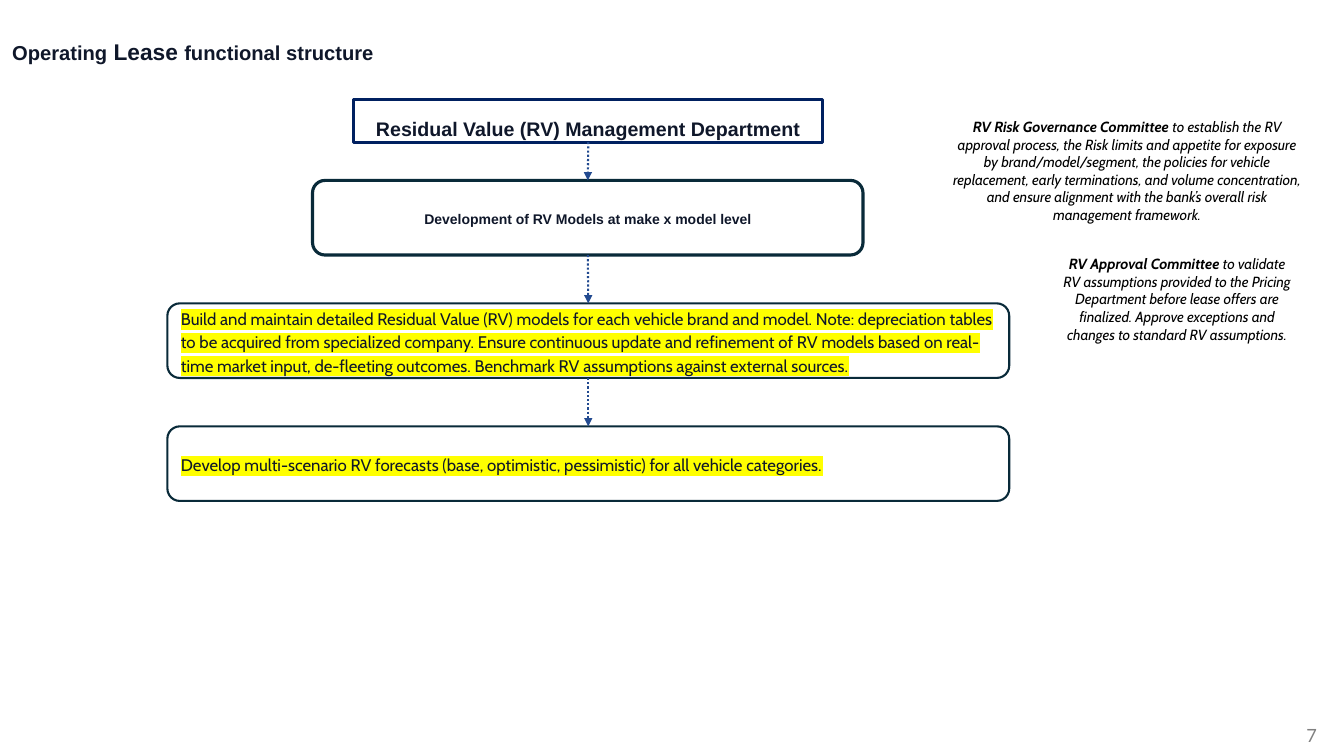
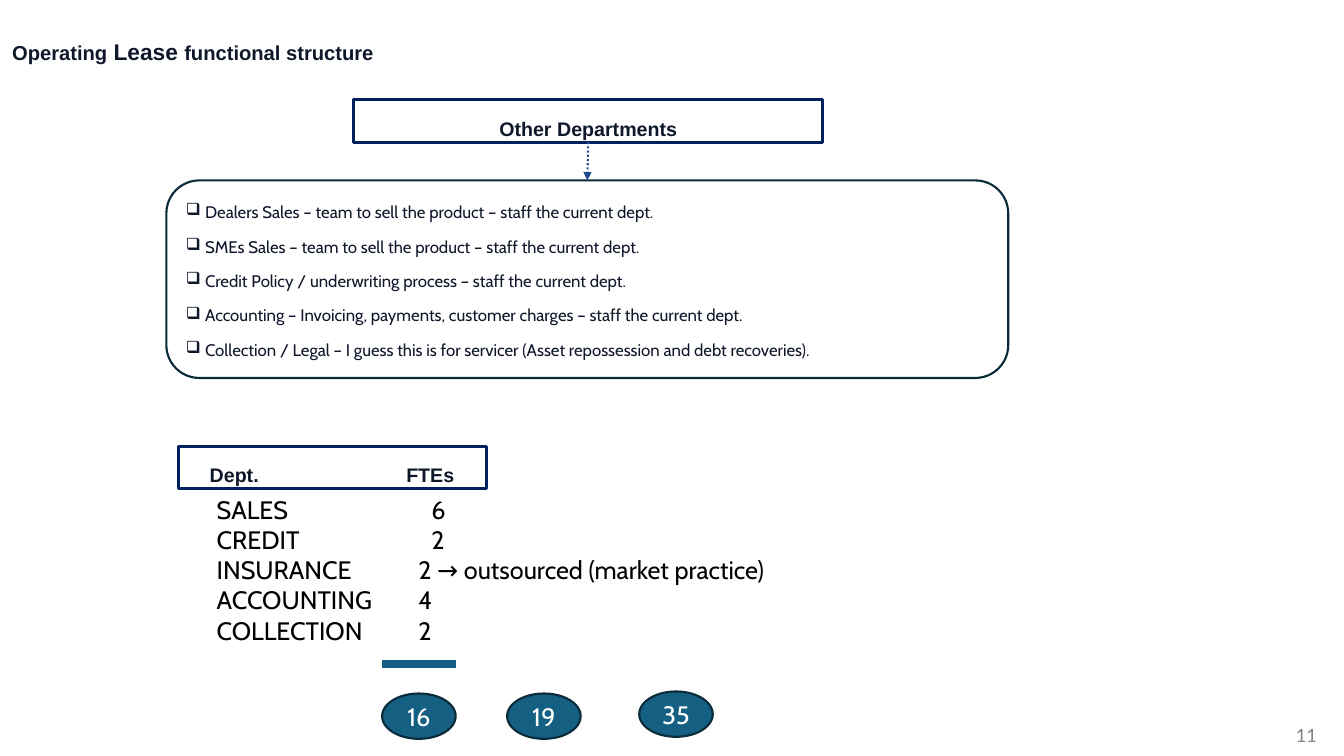
from pptx import Presentation
from pptx.dml.color import RGBColor
from pptx.enum.dml import MSO_LINE
from pptx.enum.shapes import MSO_CONNECTOR, MSO_SHAPE
from pptx.enum.text import MSO_ANCHOR, MSO_AUTO_SIZE, PP_ALIGN
from pptx.oxml.ns import qn
from pptx.util import Inches, Pt
from lxml import etree

# Shared look
RECT, ROUNDED = MSO_SHAPE.RECTANGLE, MSO_SHAPE.ROUNDED_RECTANGLE
CIRCLE = MSO_SHAPE.FLOWCHART_CONNECTOR
STRAIGHT, DOTTED = MSO_CONNECTOR.STRAIGHT, MSO_LINE.ROUND_DOT
LEFT, CENTER, RIGHT = PP_ALIGN.LEFT, PP_ALIGN.CENTER, PP_ALIGN.RIGHT
TOP, MIDDLE = MSO_ANCHOR.TOP, MSO_ANCHOR.MIDDLE
FIT_SHAPE, NO_FIT = MSO_AUTO_SIZE.SHAPE_TO_FIT_TEXT, MSO_AUTO_SIZE.NONE
HEADING, BODY, NUMBER = "Arial", "Cabin", "Lato"
INK, BLACK, WHITE, GREY = "0F172A", "000000", "FFFFFF", "808080"
NAVY, OUTLINE, ARROW, TEAL = "002060", "092A39", "224A90", "156082"
YELLOW = "FFFF00"
TITLE_ONLY = 5
BOTTOM_SIDE, TOP_SIDE = 2, 0
HEADER_BOX = (3.51, 0.99, 4.65, 0.42)
TITLE_RUNS = (("Operating", 14.4), (" Lease ", 16.2),
              ("functional structure", 14.4))


def rgb(code):
    return RGBColor.from_string(code)


def inches(*lengths):
    return [Inches(length) for length in lengths]


def style_run(run, face, size, color, bold=False, italic=False):
    font = run.font
    font.name, font.size = face, Pt(size)
    font.bold, font.italic = bold, italic
    font.color.rgb = rgb(color)


def style_paragraphs(frame, face, size, color, bold=False, align=LEFT,
                     spacing=None, after=None):
    for paragraph in frame.paragraphs:
        paragraph.alignment = align
        if spacing:
            paragraph.line_spacing = spacing
        if after:
            paragraph.space_after = Pt(after)
        for run in paragraph.runs:
            style_run(run, face, size, color, bold)


def highlight(run):
    mark = etree.Element(qn("a:highlight"))
    etree.SubElement(mark, qn("a:srgbClr"), val=YELLOW)
    run.font._element.find(qn("a:latin")).addprevious(mark)


def add_bullet(paragraph, hanging):
    props = paragraph._p.get_or_add_pPr()
    props.set("marL", str(Inches(hanging)))
    props.set("indent", str(-Inches(hanging)))
    etree.SubElement(props, qn("a:buChar"), char="❑")


def add_tab(paragraph, position):
    tabs = etree.SubElement(paragraph._p.get_or_add_pPr(), qn("a:tabLst"))
    etree.SubElement(tabs, qn("a:tab"), pos=str(Inches(position)), algn="l")


def add_box(slide, kind, place, text, outline, weight, fill=None,
            anchor=MIDDLE):
    box = slide.shapes.add_shape(kind, *inches(*place))
    box.shadow.inherit = False
    if fill:
        box.fill.solid()
        box.fill.fore_color.rgb = rgb(fill)
    else:
        box.fill.background()
    box.line.color.rgb = rgb(outline)
    box.line.width = Pt(weight)
    box.text_frame.text = text
    box.text_frame.word_wrap = True
    box.text_frame.vertical_anchor = anchor
    return box


def add_header(slide, place, text, align=CENTER):
    header = add_box(slide, RECT, place, text, NAVY, 2.25, anchor=TOP)
    header.text_frame.auto_size = FIT_SHAPE
    style_paragraphs(header.text_frame, HEADING, 14, INK, True, align, 1.5)
    return header


def add_panel(slide, place, text, weight=1.5, face=BODY, size=12,
              bold=False, align=LEFT):
    panel = add_box(slide, ROUNDED, place, text, OUTLINE, weight, WHITE)
    style_paragraphs(panel.text_frame, face, size, INK, bold, align, 1.15, 8)
    return panel


def add_line(slide, start, end, color, weight):
    line = slide.shapes.add_connector(STRAIGHT, *inches(*start, *end))
    line.line.color.rgb = rgb(color)
    line.line.width = Pt(weight)
    etree.SubElement(line._element.spPr, qn("a:effectLst"))
    return line


def add_arrow(slide, upper, lower):
    arrow = add_line(slide, (0, 0), (1, 1), ARROW, 1.5)
    arrow.begin_connect(upper, BOTTOM_SIDE)
    arrow.end_connect(lower, TOP_SIDE)
    arrow.line.dash_style = DOTTED
    etree.SubElement(arrow.line._get_or_add_ln(), qn("a:tailEnd"),
                     type="triangle")


def add_text(slide, place, text):
    frame = slide.shapes.add_textbox(*inches(*place)).text_frame
    frame.word_wrap = True
    frame.text = text
    return frame


def add_committee(slide, place, name, duty):
    paragraph = add_text(slide, place, name).paragraphs[0]
    paragraph.alignment = CENTER
    paragraph.add_run().text = duty
    for run, bold in zip(paragraph.runs, (True, False)):
        style_run(run, BODY, 10.5, BLACK, bold, italic=True)


def add_slide(deck, number):
    slide = deck.slides.add_slide(deck.slide_layouts[TITLE_ONLY])
    title = slide.shapes.title
    title.left, title.top, title.width, title.height = inches(
        0.02, 0.36, 11.06, 0.34)
    title.text_frame.auto_size = NO_FIT
    title.text_frame.vertical_anchor = MIDDLE
    paragraph = title.text_frame.paragraphs[0]
    paragraph.alignment, paragraph.line_spacing = LEFT, 0.9
    for text, size in TITLE_RUNS:
        run = paragraph.add_run()
        run.text = text
        style_run(run, HEADING, size, INK, bold=True)
    page = add_text(slide, (12.36, 7.14, 0.8, 0.32), str(number))
    style_paragraphs(page, NUMBER, 13, GREY, align=RIGHT)
    return slide


def build_residual_value(deck):
    slide = add_slide(deck, 7)
    # Flow from the department down to its tasks
    steps = [
        add_header(slide, HEADER_BOX,
                   "Residual Value (RV) Management Department"),
        add_panel(slide, (3.1, 1.79, 5.46, 0.74),
                  "Development of RV Models at make x model level",
                  2.25, HEADING, 10, True, CENTER)]
    tasks = (
        "Build and maintain detailed Residual Value (RV) models for each "
        "vehicle brand and model. Note: depreciation tables to be acquired "
        "from specialized company. Ensure continuous update and refinement "
        "of RV models based on real-time market input, de-fleeting outcomes. "
        "Benchmark RV assumptions against external sources.",
        "Develop multi-scenario RV forecasts (base, optimistic, pessimistic) "
        "for all vehicle categories.")
    for index, task in enumerate(tasks):
        panel = add_panel(slide, (1.66, 3.01 + 1.22 * index, 8.35, 0.74), task)
        highlight(panel.text_frame.paragraphs[0].runs[0])
        steps.append(panel)
    for upper, lower in zip(steps, steps[1:]):
        add_arrow(slide, upper, lower)

    # Committees
    add_committee(
        slide, (9.33, 1.12, 3.7, 1.16), "RV Risk Governance Committee ",
        "to establish the RV approval process, the Risk limits and appetite "
        "for exposure by brand/model/segment, the policies for vehicle "
        "replacement, early terminations, and volume concentration, and "
        "ensure alignment with the bank’s overall risk management framework.")
    add_committee(
        slide, (10.42, 2.48, 2.51, 1.16), "RV Approval Committee ",
        "to validate RV assumptions provided to the Pricing Department before "
        "lease offers are finalized. Approve exceptions and changes to "
        "standard RV assumptions.")


def build_other_departments(deck):
    slide = add_slide(deck, 11)
    # Departments and their roles
    header = add_header(slide, HEADER_BOX, "Other Departments")
    roles = add_panel(slide, (1.65, 1.79, 8.35, 1.96), "\n".join((
        "Dealers Sales – team to sell the product – staff the current dept.",
        "SMEs Sales – team to sell the product – staff the current dept.",
        "Credit Policy / underwriting process – staff the current dept.",
        "Accounting – Invoicing, payments, customer charges – staff the "
        "current dept.",
        "Collection / Legal – I guess this is for servicer (Asset repossession "
        "and debt recoveries).")))
    for paragraph in roles.text_frame.paragraphs:
        add_bullet(paragraph, 0.19)
    add_arrow(slide, header, roles)

    # Staff per department
    columns = add_header(slide, (1.77, 4.43, 3.06, 0.42), "Dept.\tFTEs", LEFT)
    columns.text_frame.margin_left = Inches(0.31)
    add_tab(columns.text_frame.paragraphs[0], 1.95)
    staff = (("SALES", "6", 2.13), ("CREDIT", "2", 2.13),
             ("INSURANCE", "2 → outsourced (market practice)", 2),
             ("ACCOUNTING", "4", 2), ("COLLECTION", "2", 2))
    rows = add_text(slide, (2.05, 4.85, 6.68, 1.62),
                    "\n".join(f"{dept}\t{count}" for dept, count, _ in staff))
    style_paragraphs(rows, BODY, 18, BLACK)
    for paragraph, (_, _, stop) in zip(rows.paragraphs, staff):
        add_tab(paragraph, stop)

    # Totals
    add_line(slide, (3.79, 6.59), (4.52, 6.59), TEAL, 6)
    for total, left, top in (("16", 3.79, 6.88), ("19", 5.03, 6.88),
                             ("35", 6.34, 6.86)):
        badge = add_box(slide, CIRCLE, (left, top, 0.73, 0.45), total,
                        OUTLINE, 1.5, TEAL)
        style_paragraphs(badge.text_frame, BODY, 18, WHITE, align=CENTER)


def main():
    deck = Presentation()
    deck.slide_width, deck.slide_height = inches(13.33, 7.5)
    build_residual_value(deck)
    build_other_departments(deck)
    deck.save("out.pptx")


if __name__ == "__main__":
    main()
